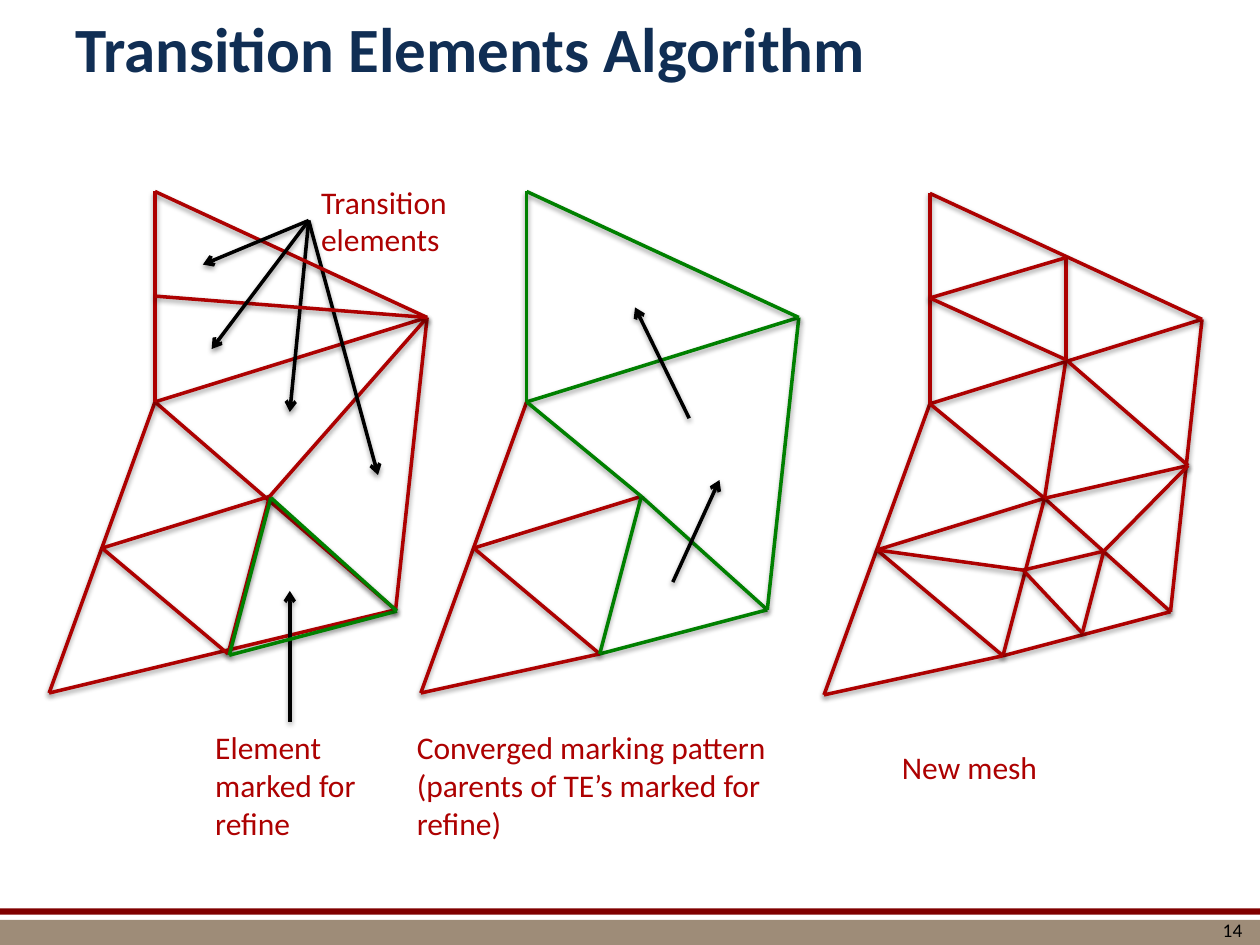
"""Build the transition elements slide."""
from dataclasses import dataclass

from lxml import etree
from pptx import Presentation
from pptx import util as u
from pptx.dml.color import RGBColor
from pptx.enum import shapes, text
from pptx.oxml.ns import qn


@dataclass(frozen=True)
class Theme:
    """Colours, font and sizes of the slide."""
    font: str = "Calibri"
    title: str = "102E54"
    red: str = "AD0101"
    green: str = "008000"
    black: str = "000000"
    band: str = "9E8C78"
    stripe: str = "800000"
    title_size: int = 36
    label_size: int = 18
    number_size: int = 11
    line_width: int = 2


THEME = Theme()
COLUMNS, ROWS = 100, 75

NODES = {
    "A": (12.3, 15.2), "B": (12.3, 23.5), "C": (12.3, 31.9), "D": (33.9, 25.2),
    "E": (21.4, 39.4), "F": (8.1, 43.5), "G": (18.1, 51.9), "H": (31.4, 48.4),
    "I": (3.9, 55), "J": (23.1, 20.3), "K": (23.1, 28.4), "L": (32.8, 36.8),
    "M": (19.7, 45.1), "N": (26.1, 43.6), "P": (24.4, 50.1),
}
MIDDLE_SHIFT = (29.5, 0)
RIGHT_SHIFT = (61.5, 0.15)


def write_text(frame, content, *, size, color, bold=False, align=None,
               anchor=text.MSO_ANCHOR.TOP, inset=None):
    """Fill a text frame with one formatted paragraph."""
    frame.word_wrap = True
    frame.auto_size = text.MSO_AUTO_SIZE.NONE
    frame.vertical_anchor = anchor
    if inset is not None:
        frame.margin_left = frame.margin_right = u.Inches(inset)
        frame.margin_top = frame.margin_bottom = u.Inches(inset)
    paragraph = frame.paragraphs[0]
    paragraph.alignment = align
    run = paragraph.add_run()
    run.text = content
    run.font.name = THEME.font
    run.font.size = u.Pt(size)
    run.font.bold = bold
    run.font.color.rgb = RGBColor.from_string(color)


class SlideBuilder:
    """Places styled elements on a slide by grid columns and rows."""

    def __init__(self, presentation, theme):
        """Add a title-only slide and work out its grid."""
        self.theme = theme
        self.column = presentation.slide_width / COLUMNS
        self.row = presentation.slide_height / ROWS
        self.slide = presentation.slides.add_slide(presentation.slide_layouts[5])

    def place(self, *lengths):
        """Turn alternating columns and rows into slide lengths."""
        units = (self.column, self.row) * 2
        return [u.Emu(round(length * unit)) for length, unit in zip(lengths, units)]

    def title(self, content, box):
        """Move and fill the title placeholder."""
        shape = self.slide.shapes.title
        shape.left, shape.top, shape.width, shape.height = self.place(*box)
        write_text(shape.text_frame, content, size=self.theme.title_size,
                   color=self.theme.title, bold=True, align=text.PP_ALIGN.LEFT,
                   anchor=text.MSO_ANCHOR.MIDDLE)

    def bar(self, box, color):
        """Add a plain filled rectangle."""
        shape = self.slide.shapes.add_shape(shapes.MSO_SHAPE.RECTANGLE, *self.place(*box))
        shape.shadow.inherit = False
        shape.fill.solid()
        shape.fill.fore_color.rgb = RGBColor.from_string(color)
        shape.line.fill.background()

    def label(self, content, box, **text_format):
        """Add a text box."""
        style = {"size": self.theme.label_size, "color": self.theme.red} | text_format
        shape = self.slide.shapes.add_textbox(*self.place(*box))
        write_text(shape.text_frame, content, **style)

    def line(self, start, end, color, arrow=False):
        """Add a line with a soft shadow and an optional arrowhead."""
        connector = self.slide.shapes.add_connector(
            shapes.MSO_CONNECTOR.STRAIGHT, *self.place(*start, *end))
        connector.line.width = u.Pt(self.theme.line_width)
        connector.line.color.rgb = RGBColor.from_string(color)
        properties = connector._element.spPr
        if arrow:
            etree.SubElement(properties.find(qn("a:ln")), qn("a:tailEnd"), type="arrow")
        effects = etree.SubElement(properties, qn("a:effectLst"))
        shadow = etree.SubElement(effects, qn("a:outerShdw"), blurRad=str(u.Pt(3.1)),
                                  dist=str(u.Pt(1.6)), dir="5400000", rotWithShape="0")
        shade = etree.SubElement(shadow, qn("a:srgbClr"), val=self.theme.black)
        etree.SubElement(shade, qn("a:alpha"), val="38000")

    def arrows(self, *pairs):
        """Add black arrows between pairs of points."""
        for start, end in pairs:
            self.line(start, end, self.theme.black, arrow=True)

    def mesh(self, edges, color, shift=(0, 0)):
        """Draw edges named by their two nodes."""
        for edge in edges.split():
            start, end = ([a + b for a, b in zip(NODES[node], shift)] for node in edge)
            self.line(start, end, color)


def main():
    """Build and save the slide."""
    presentation = Presentation()
    presentation.slide_width, presentation.slide_height = u.Inches(10), u.Inches(7.5)
    builder = SlideBuilder(presentation, THEME)

    builder.bar((0, 73, COLUMNS, 2), THEME.band)
    builder.bar((0, 72.1, COLUMNS, 0.5), THEME.stripe)
    builder.title("Transition Elements Algorithm", (5, 0, 90, 7.5))
    builder.label("14", (91.9, 70.6, 6.7, 4.1), size=THEME.number_size, color=THEME.black,
                  align=text.PP_ALIGN.RIGHT, anchor=text.MSO_ANCHOR.BOTTOM, inset=0)

    hub = (24.5, 17.5)
    builder.label("Element marked for refine", (16.1, 57.3, 13.9, 10.1))
    builder.mesh("CI CH HI CD DH EF EG FG DE", THEME.red)
    builder.arrows(((23, 57.3), (23, 46.9)))
    builder.label("Transition elements", (24.5, 14, 13.9, 7.1))
    builder.arrows((hub, (30, 37.7)), (hub, (23, 32.7)))
    builder.mesh("AD CA BD", THEME.red)
    builder.arrows((hub, (16.1, 21)), (hub, (16.8, 27.7)))
    builder.mesh("EG HG EH", THEME.green, (0.1, 0.1))

    builder.mesh("CI EF FG GI", THEME.red, MIDDLE_SHIFT)
    builder.mesh("EH HG CD DH EG AD CA CE", THEME.green, MIDDLE_SHIFT)
    builder.label("Converged marking pattern (parents of TE’s marked for refine)",
                  (32.1, 57.3, 31, 10.1))
    builder.arrows(((53.4, 46.2), (57.1, 38.1)), ((54.7, 33.2), (50.4, 24.4)))

    builder.mesh("CI EH HG CD DH EF EG FG AD CA CE GI "
                 "EK LE KL KJ JB KB MN PM NP LN FM", THEME.red, RIGHT_SHIFT)
    builder.label("New mesh", (70.6, 58.9, 13.9, 4))

    presentation.save("out.pptx")


if __name__ == "__main__":
    main()
